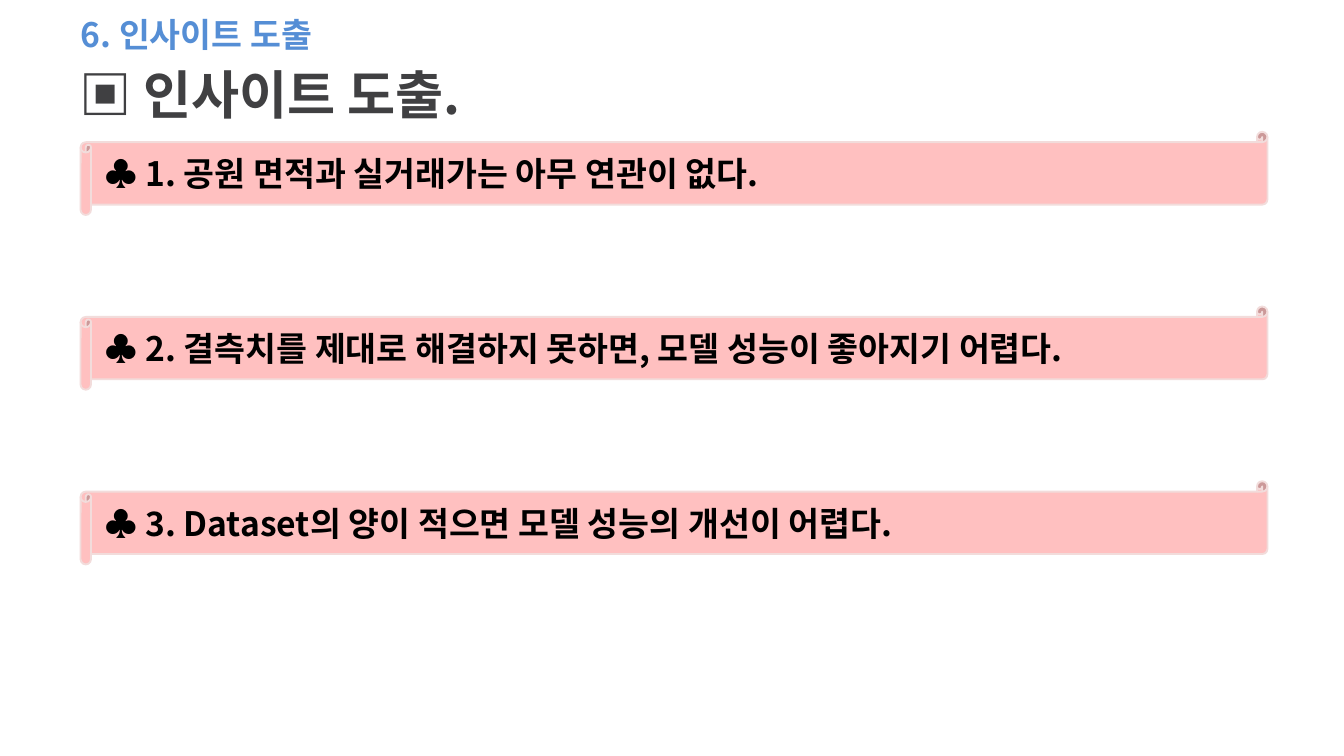
import pptx
import pptx.dml.color
import pptx.enum.shapes
import pptx.enum.text
import pptx.oxml
import pptx.oxml.ns
import pptx.util

Pt = pptx.util.Pt

FONT = "Noto Sans CJK KR"
TITLE = "6. 인사이트 도출"
HEAD = "▣ 인사이트 도출."
POINTS = [
    "공원 면적과 실거래가는 아무 연관이 없다.",
    "결측치를 제대로 해결하지 못하면, 모델 성능이 좋아지기 어렵다.",
    "Dataset의 양이 적으면 모델 성능의 개선이 어렵다.",
]
LEFT, TOP, WIDTH, HEIGHT, STEP = 43.2, 70.6, 635.8, 44.6, 93.6


def color(code):
    return pptx.dml.color.RGBColor.from_string(code)


def write(shape, text, size=18, ink="000000", wrap=True):
    frame = shape.text_frame
    frame.word_wrap = wrap
    frame.auto_size = pptx.enum.text.MSO_AUTO_SIZE.NONE
    frame.vertical_anchor = pptx.enum.text.MSO_ANCHOR.MIDDLE
    para = frame.paragraphs[0]
    para.alignment = pptx.enum.text.PP_ALIGN.LEFT
    run = para.add_run()
    run.text = text
    font = run.font
    font.name, font.size, font.bold = FONT, Pt(size), True
    font.color.rgb = color(ink)
    # Hangul takes its typeface from a:ea
    east = pptx.oxml.parse_xml(
        f'<a:ea {pptx.oxml.ns.nsdecls("a")} typeface="{FONT}"/>')
    run._r.get_or_add_rPr().find(pptx.oxml.ns.qn("a:latin")).addnext(east)


deck = pptx.Presentation()
deck.slide_width, deck.slide_height = Pt(720), Pt(405)
slide = deck.slides.add_slide(deck.slide_layouts[5])

title = slide.shapes.title
title.left, title.top = Pt(36), Pt(5.8)
title.width, title.height = Pt(279.4), Pt(25.2)
write(title, TITLE, ink="558ED5")

head = slide.shapes.add_textbox(Pt(35.3), Pt(19.4), Pt(648), Pt(61.2))
write(head, HEAD, size=28, ink="404042", wrap=False)

for row, point in enumerate(POINTS):
    banner = slide.shapes.add_shape(
        pptx.enum.shapes.MSO_SHAPE.HORIZONTAL_SCROLL,
        Pt(LEFT), Pt(TOP + row * STEP), Pt(WIDTH), Pt(HEIGHT))
    banner.shadow.inherit = False
    banner.fill.solid()
    banner.fill.fore_color.rgb = color("FFC0C0")
    banner.line.color.rgb = color("F2DCDB")
    banner.line.width = Pt(1)
    write(banner, f"♣ {row + 1}. {point}")

deck.save("out.pptx")
